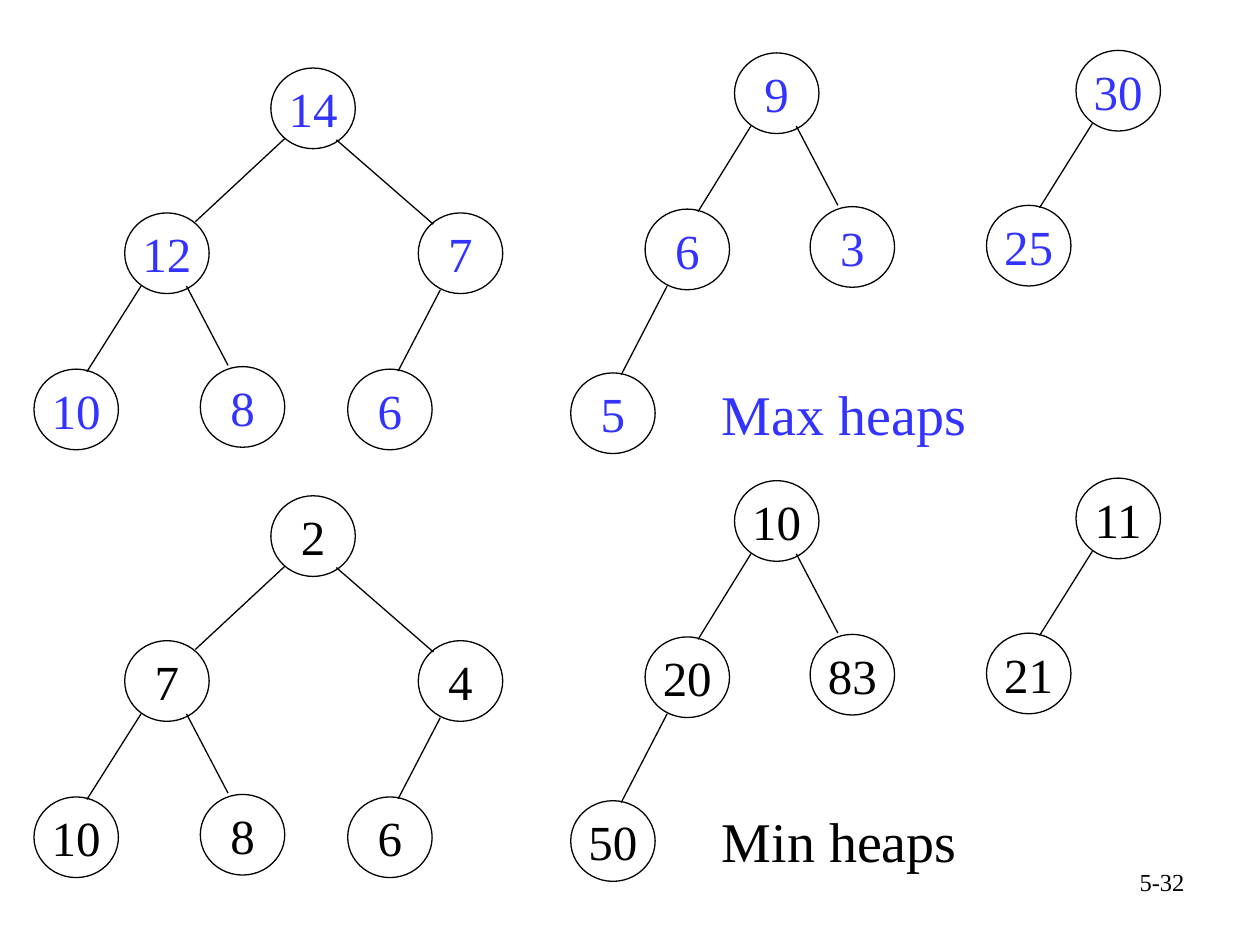
from dataclasses import dataclass

from pptx import Presentation
from pptx import util as u
from pptx.dml.color import RGBColor
from pptx.enum import shapes, text
from pptx.oxml.ns import qn


@dataclass(frozen=True)
class Theme:
    """Colours, type sizes and line width of the slide."""
    font: str = "Times New Roman"
    maximum: str = "3333FF"
    ink: str = "000000"
    key_size: int = 28
    caption_size: int = 32
    number_size: int = 14
    line_width: float = 0.75


THEME = Theme()
COLUMNS, ROWS = 100, 75
WIDTH, HEIGHT = u.Inches(10), u.Inches(7.5)
NODE_SIZE = (6.7, 6.4)
HALF_SHIFT = 33.95

LINKS = {
    "wide left": ((1.1, 5.6), (5.6, 0.7)),
    "wide right": ((5.2, 5.7), (1.2, 0.9)),
    "left": ((1.3, 5.8), (4.2, 0.2)),
    "right": ((4.9, 5.8), (2.2, -0.1)),
    "only left": ((1.75, 6.1), (4, 0.15)),
}

HEAPS = [
    ([(21.5, 5.4), (9.9, 16.9), (33.2, 16.9), (2.7, 29.3), (15.9, 29.1), (27.6, 29.3)],
     [(0, 1, "wide left"), (0, 2, "wide right"), (1, 3, "left"),
      (1, 4, "right"), (2, 5, "only left")]),
    ([(58.3, 4.2), (51.2, 16.6), (64.3, 16.4), (45.3, 29.6)],
     [(0, 1, "left"), (0, 2, "right"), (1, 3, "only left")]),
    ([(85.4, 4), (78.3, 16.3)],
     [(0, 1, "left")]),
]

HALVES = [
    ("Max heaps", THEME.maximum, [(14, 12, 7, 10, 8, 6), (9, 6, 3, 5), (30, 25)]),
    ("Min heaps", THEME.ink, [(2, 7, 4, 10, 8, 6), (10, 20, 83, 50), (11, 21)]),
]


def place(column, row):
    """Turn a grid position or size into slide lengths."""
    return round(WIDTH * column / COLUMNS), round(HEIGHT * row / ROWS)


def shift(point, offset):
    """Move a grid point by an offset."""
    return point[0] + offset[0], point[1] + offset[1]


def write(box, words, *, size, color=THEME.ink, align=text.PP_ALIGN.LEFT,
          anchor=text.MSO_ANCHOR.TOP, wrap=True):
    """Put one formatted paragraph into a box."""
    frame = box.text_frame
    frame.word_wrap = wrap
    frame.vertical_anchor = anchor
    para = frame.paragraphs[0]
    para.alignment = align
    span = para.add_run()
    span.text = words
    span.font.name = THEME.font
    span.font.size = u.Pt(size)
    span.font.color.rgb = RGBColor.from_string(color)


def outline(line):
    """Give a line the thin ink stroke."""
    line.color.rgb = RGBColor.from_string(THEME.ink)
    line.width = u.Pt(THEME.line_width)


def add_label(page, position, extent, words, **style):
    """Add a text box."""
    box = page.shapes.add_textbox(*place(*position), *place(*extent))
    write(box, words, **style)


def add_node(page, position, key, color):
    """Add one round heap node."""
    node = page.shapes.add_shape(
        shapes.MSO_SHAPE.OVAL, *place(*position), *place(*NODE_SIZE))
    node.shadow.inherit = False
    node.fill.background()
    outline(node.line)
    write(node, str(key), size=THEME.key_size, color=color, wrap=False,
          align=text.PP_ALIGN.CENTER, anchor=text.MSO_ANCHOR.MIDDLE)


def add_link(page, start, end):
    """Add a line from a parent to a child."""
    link = page.shapes.add_connector(
        shapes.MSO_CONNECTOR.STRAIGHT, *place(*start), *place(*end))
    outline(link.line)
    properties = link._element.spPr
    properties.append(properties.makeelement(qn("a:effectLst"), {}))


def add_heap(page, points, edges, keys, color):
    """Add the nodes and links of one heap."""
    for point, key in zip(points, keys):
        add_node(page, point, key, color)
    for parent, child, kind in edges:
        leave, arrive = LINKS[kind]
        add_link(page, shift(points[parent], leave), shift(points[child], arrive))


def main():
    """Build and save the slide."""
    deck = Presentation()
    deck.slide_width, deck.slide_height = WIDTH, HEIGHT
    page = deck.slides.add_slide(deck.slide_layouts[6])
    for half, (caption, color, key_lists) in enumerate(HALVES):
        drop = (0, half * HALF_SHIFT)
        for (points, edges), keys in zip(HEAPS, key_lists):
            add_heap(page, [shift(point, drop) for point in points], edges, keys, color)
        add_label(page, shift((56.3, 29.6), drop), (40.2, 6.4), caption,
                  size=THEME.caption_size, color=color)
    add_label(page, (71.7, 68.3), (23.3, 5.2), "5-32",
              size=THEME.number_size, align=text.PP_ALIGN.RIGHT)
    deck.save("out.pptx")


if __name__ == "__main__":
    main()
